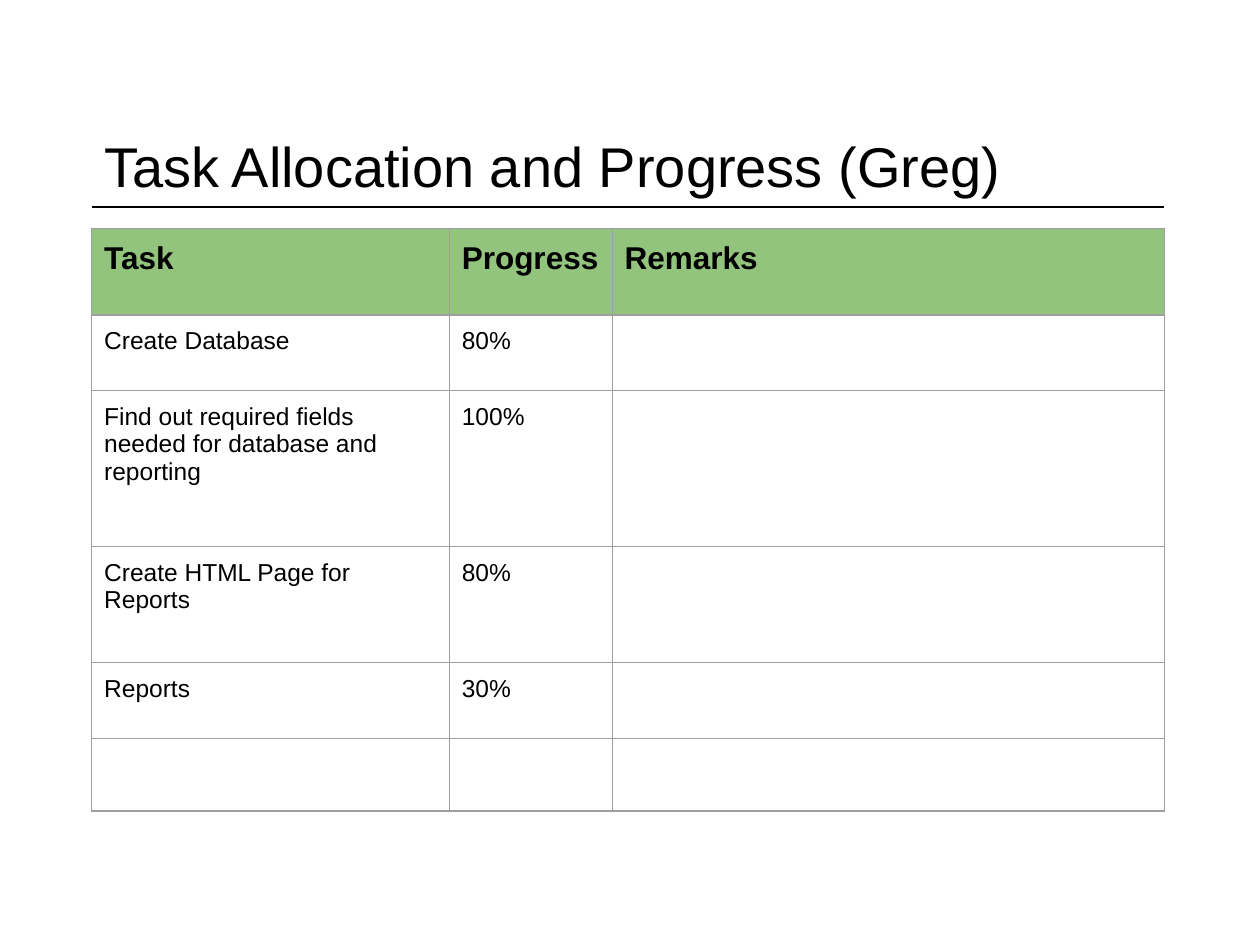
"""Build a task allocation and progress slide with a ruled title and a table."""
from lxml.etree import SubElement
from pptx import Presentation
from pptx.dml.color import RGBColor
from pptx.enum.shapes import MSO_CONNECTOR as Connector
from pptx.enum.text import MSO_ANCHOR as Anchor, PP_ALIGN as Align
from pptx.oxml.ns import qn
from pptx.util import Cm, Pt

HEADING = "Task Allocation and Progress (Greg)"
TASKS = [
    ("Task", "Progress", "Remarks"),
    ("Create Database", "80%", ""),
    ("Find out required fields needed for database and reporting", "100%", ""),
    ("Create HTML Page for Reports", "80%", ""),
    ("Reports", "30%", ""),
    ("", "", ""),
]
COLUMN_WIDTHS = [7.21, 3.28, 11.13]
ROW_HEIGHTS = [1.75, 1.52, 3.15, 2.34, 1.52, 1.47]
COLORS = {"ink": "000000", "header": "93C47D", "grid": "9E9E9E"}
FONT = "Arial"
LEFT, HEADING_TOP, RULE_TOP, TABLE_TOP = 1.85, 2.49, 4.17, 4.6
WIDTH = sum(COLUMN_WIDTHS)
PADDING = Cm(0.25)


def color(name):
    """Return the named palette colour."""
    return RGBColor.from_string(COLORS[name])


def write(paragraph, words, size, bold=False):
    """Add one formatted run to a left-aligned paragraph."""
    paragraph.alignment = Align.LEFT
    run = paragraph.add_run()
    run.text = words
    run.font.name, run.font.size, run.font.bold = FONT, Pt(size), bold
    run.font.color.rgb = color("ink")


def add_borders(cell):
    """Draw the thin grid line on all four sides of a cell."""
    properties = cell._tc.get_or_add_tcPr()
    for side in ("a:lnL", "a:lnR", "a:lnT", "a:lnB"):
        border = SubElement(properties, qn(side), w=str(Pt(0.75)))
        fill = SubElement(border, qn("a:solidFill"))
        SubElement(fill, qn("a:srgbClr"), val=COLORS["grid"])


def add_heading(slide):
    """Place the title and the rule beneath it."""
    title = slide.shapes.title
    title.left, title.top = Cm(LEFT), Cm(HEADING_TOP)
    title.width, title.height = Cm(WIDTH), Cm(RULE_TOP - HEADING_TOP)
    frame = title.text_frame
    frame.vertical_anchor = Anchor.MIDDLE
    frame.margin_left = frame.margin_right = PADDING
    frame.margin_top = frame.margin_bottom = Cm(0.13)
    write(frame.paragraphs[0], HEADING, 32)
    rule = slide.shapes.add_connector(
        Connector.STRAIGHT, Cm(LEFT), Cm(RULE_TOP), Cm(LEFT + WIDTH), Cm(RULE_TOP))
    rule.line.color.rgb = color("ink")
    rule.line.width = Pt(0.75)
    SubElement(rule._element.spPr, qn("a:effectLst"))


def add_tasks(slide):
    """Place the task table."""
    table = slide.shapes.add_table(
        len(TASKS), len(COLUMN_WIDTHS), Cm(LEFT), Cm(TABLE_TOP),
        Cm(WIDTH), Cm(sum(ROW_HEIGHTS))).table
    table.horz_banding = False
    for column, width in zip(table.columns, COLUMN_WIDTHS):
        column.width = Cm(width)
    for row, height, entries in zip(table.rows, ROW_HEIGHTS, TASKS):
        row.height = Cm(height)
        is_header = entries is TASKS[0]
        for cell, words in zip(row.cells, entries):
            cell.margin_left = cell.margin_right = PADDING
            cell.margin_top = cell.margin_bottom = PADDING
            add_borders(cell)
            if is_header:
                cell.fill.solid()
                cell.fill.fore_color.rgb = color("header")
            else:
                cell.fill.background()
            if words:
                write(cell.text_frame.paragraphs[0], words, 18 if is_header else 14, is_header)


def main():
    """Create and save the presentation."""
    deck = Presentation()
    deck.slide_width, deck.slide_height = Cm(25.4), Cm(19.05)
    slide = deck.slides.add_slide(deck.slide_layouts[5])
    add_heading(slide)
    add_tasks(slide)
    deck.save("out.pptx")


if __name__ == "__main__":
    main()
